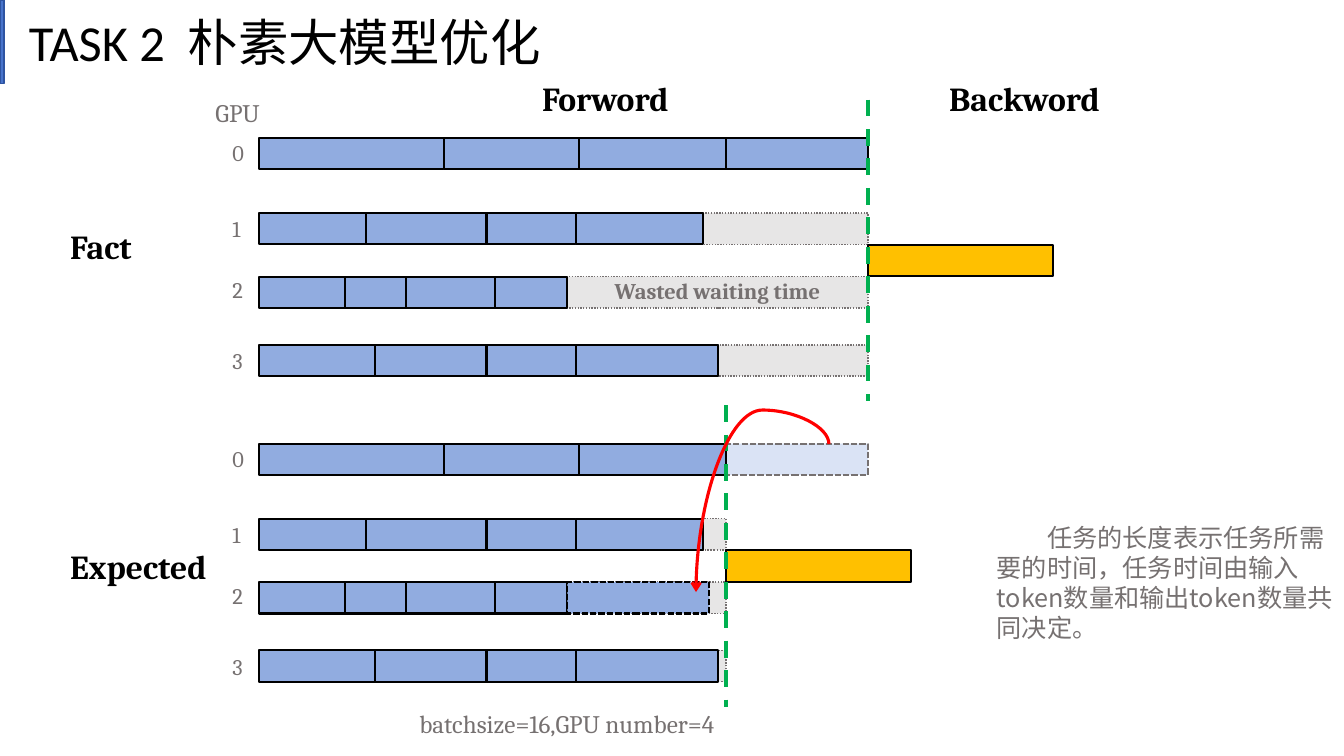
from dataclasses import dataclass

import lxml.etree
import pptx
import pptx.dml.color
import pptx.enum.dml
import pptx.enum.shapes
import pptx.enum.text
import pptx.oxml.ns
import pptx.util

Cm = pptx.util.Cm
Pt = pptx.util.Pt
DASH = pptx.enum.dml.MSO_LINE
ALIGN = pptx.enum.text.PP_ALIGN
CONNECTOR = pptx.enum.shapes.MSO_CONNECTOR


@dataclass(frozen=True)
class Theme:
    black: str = "000000"
    gray: str = "767171"
    accent: str = "4874CB"
    accent_edge: str = "2E54A1"
    task: str = "91ACE0"
    removed: str = "DAE3F5"
    waiting: str = "E7E6E6"
    backward: str = "FFC000"
    deadline: str = "00B050"
    move: str = "FF0000"
    serif: str = "Cambria"
    sans: str = "Calibri"
    title_cjk: str = "Lato"
    cjk: str = "Noto Sans CJK SC"
    title: int = 36
    heading: int = 24
    body: int = 18
    label: int = 16


def rgb(value):
    return pptx.dml.color.RGBColor.from_string(value)


def add_xml(parent, tag, **attributes):
    return lxml.etree.SubElement(parent, pptx.oxml.ns.qn(tag), attributes)


class SlideBuilder:
    def __init__(self, s, theme):
        self.s = s
        self.theme = theme

    def style_line(self, line, color, width, dash=None):
        line.color.rgb = rgb(color)
        line.width = Pt(width)
        if dash:
            line.dash_style = dash

    def box(self, x, y, w, h, fill, edge=None, width=1.5, dash=None):
        sp = self.s.shapes.add_shape(
            pptx.enum.shapes.MSO_SHAPE.RECTANGLE, Cm(x), Cm(y), Cm(w), Cm(h))
        sp.shadow.inherit = False
        sp.fill.solid()
        sp.fill.fore_color.rgb = rgb(fill)
        self.style_line(sp.line, edge or self.theme.black, width, dash)
        return sp

    def text(self, x, y, w, h, runs, size, color=None, bold=False,
             align=None, indent=0, grow=False):
        sp = self.s.shapes.add_textbox(Cm(x), Cm(y), Cm(w), Cm(h))
        tf = sp.text_frame
        tf.word_wrap = True
        if grow:
            tf.auto_size = pptx.enum.text.MSO_AUTO_SIZE.SHAPE_TO_FIT_TEXT
        p = tf.paragraphs[0]
        p.alignment = align
        if indent:
            p._p.get_or_add_pPr().set("indent", str(Cm(indent)))
        for content, font in runs:
            r = p.add_run()
            r.text = content
            r.font.name = font
            r.font.size = Pt(size)
            r.font.bold = bold
            r.font.color.rgb = rgb(color or self.theme.black)
            add_xml(r._r.get_or_add_rPr(), "a:ea", typeface=self.theme.cjk)

    def heading(self, x, y, w, content):
        self.text(x, y, w, 1.27, [(content, self.theme.serif)],
                  self.theme.heading, bold=True, grow=True)

    def note(self, x, y, w, h, content, size, **options):
        self.text(x, y, w, h, [(content, self.theme.serif)], size,
                  self.theme.gray, **options)

    def connector(self, kind, x1, y1, x2, y2, color, width, dash=None):
        sp = self.s.shapes.add_connector(kind, Cm(x1), Cm(y1), Cm(x2), Cm(y2))
        self.style_line(sp.line, color, width, dash)
        add_xml(sp._element.spPr, "a:effectLst")
        return sp

    def curved_arrow(self, x1, y1, x2, y2, color, width, rotation, bend):
        sp = self.connector(CONNECTOR.CURVE, x1, y1, x2, y2, color, width)
        sp_pr = sp._element.spPr
        sp_pr.find(pptx.oxml.ns.qn("a:xfrm")).set("rot", str(rotation * 60000))
        geometry = sp_pr.find(pptx.oxml.ns.qn("a:prstGeom"))
        guides = geometry.find(pptx.oxml.ns.qn("a:avLst"))
        if guides is None:
            guides = add_xml(geometry, "a:avLst")
        add_xml(guides, "a:gd", name="adj1", fmla=f"val {round(bend * 100000)}")
        add_xml(sp.line._get_or_add_ln(), "a:tailEnd", type="arrow")

    def schedule(self, top, rows, deadline):
        t = self.theme
        for gpu, (offset, label_offset, edges) in enumerate(rows):
            y = top + offset
            self.note(5.61, top + label_offset, 0.99, 0.79, str(gpu), t.label)
            if edges[-1] < deadline:
                self.box(edges[-1], y, deadline - edges[-1], BAR, t.waiting,
                         t.gray, 1, DASH.ROUND_DOT)
            for left, right in zip(edges, edges[1:]):
                self.box(left, y, right - left, BAR, t.task)
        self.box(deadline, top + 2.69, 4.65, BAR, t.backward)
        self.connector(CONNECTOR.STRAIGHT, deadline, top - 0.97, deadline,
                       top + 6.63, t.deadline, 3, DASH.DASH)


BAR = 0.79
FACT_TOP = 3.48
EXPECTED_TOP = 11.18
FACT_END = 21.88
EXPECTED_END = 18.3
MOVED_LENGTH = FACT_END - EXPECTED_END
ROWS = [
    (0, -0.1, [6.53, 11.18, 14.6, EXPECTED_END, FACT_END]),
    (1.89, 1.82, [6.53, 9.22, 12.26, 14.51, 17.71]),
    (3.49, 3.36, [6.53, 8.69, 10.23, 12.48, 14.3]),
    (5.21, 5.15, [6.53, 9.45, 12.26, 14.51, 18.09]),
]


def main():
    prs = pptx.Presentation()
    prs.slide_width, prs.slide_height = Cm(33.87), Cm(19.05)
    t = Theme()
    b = SlideBuilder(prs.slides.add_slide(prs.slide_layouts[6]), t)

    b.box(0, 0, 0.1, 2.11, t.accent, t.accent_edge, 1)
    b.text(0.48, 0.15, 14.3, 1.8,
           [("TASK 2  ", t.sans), ("朴素", t.title_cjk), ("大模型优化", t.serif)],
           t.title, grow=True)
    b.heading(13.41, 1.83, 4.14, "Forword")
    b.heading(23.67, 1.83, 5.21, "Backword")
    b.heading(1.52, 5.56, 4.09, "Fact")
    b.heading(1.52, 13.64, 4.09, "Expected")
    b.note(5.18, 2.34, 2.46, 1.02, "GPU", t.body, grow=True)

    b.schedule(FACT_TOP, ROWS, FACT_END)
    b.note(14.27, 6.86, 7.62, 0.76, "Wasted waiting time", t.label,
           bold=True, align=ALIGN.CENTER)

    first_offset, first_label, first_edges = ROWS[0]
    b.box(EXPECTED_END, EXPECTED_TOP, MOVED_LENGTH, BAR, t.removed, t.gray,
          dash=DASH.SQUARE_DOT)
    b.schedule(EXPECTED_TOP,
               [(first_offset, first_label, first_edges[:-1])] + ROWS[1:],
               EXPECTED_END)
    shortest_offset, _, shortest_edges = ROWS[2]
    b.box(shortest_edges[-1], EXPECTED_TOP + shortest_offset, MOVED_LENGTH, BAR,
          t.task, dash=DASH.SQUARE_DOT)
    b.curved_arrow(17.35, 11.38, 21.08, 14.73, t.move, 2.25, 90, -0.23)

    b.text(24.87, 13.03, 9.02, 3.35,
           [("任务的长度表示任务所需要的时间，任务时间由输入token数量和输出token数量共同决定。", t.cjk)],
           t.body, t.gray, indent=1.27)
    b.note(9.22, 17.73, 10.13, 1.02, "batchsize=16,GPU number=4", t.body,
           align=ALIGN.CENTER, grow=True)
    prs.save("out.pptx")


if __name__ == "__main__":
    main()
